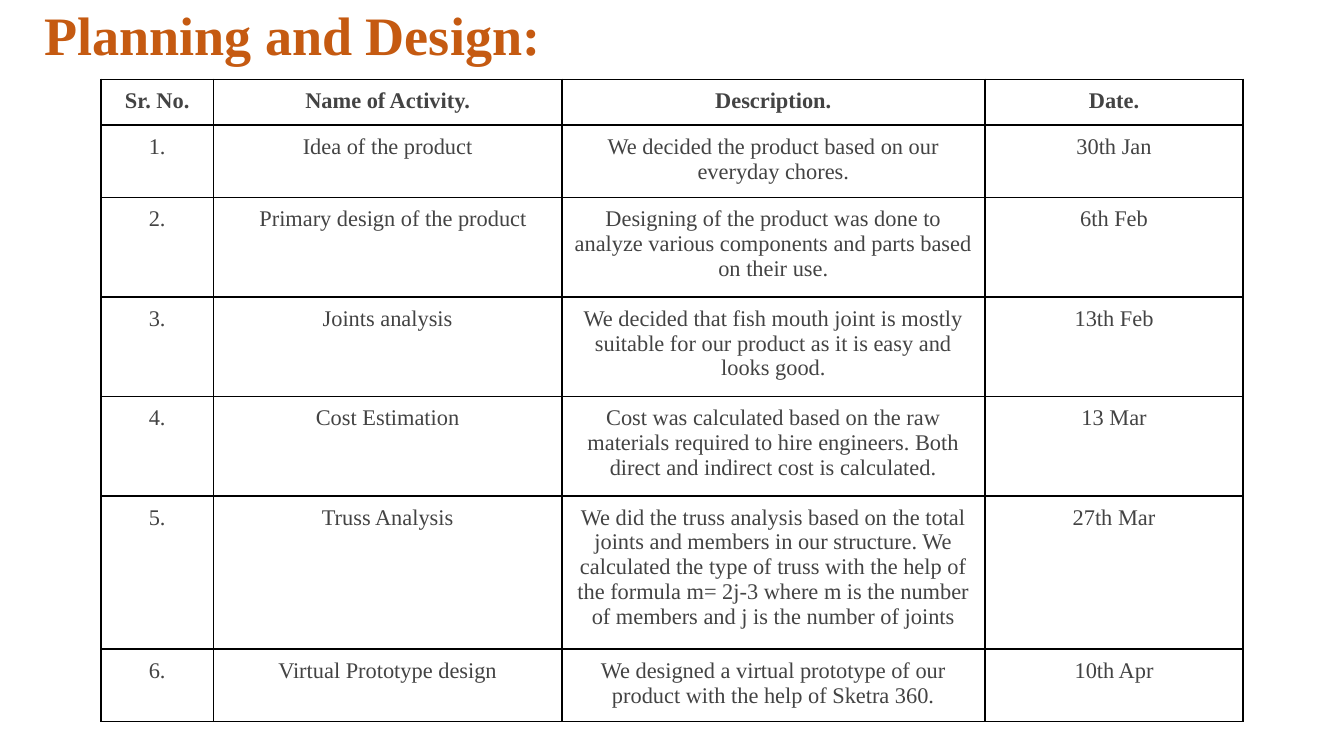
"""Build the planning and design slide with its activity table."""
from dataclasses import dataclass
from typing import NamedTuple

from lxml.etree import SubElement as Sub
from pptx import Presentation
from pptx.dml.color import RGBColor as Rgb
from pptx.enum.text import MSO_ANCHOR as Anchor, PP_ALIGN as Align
from pptx.oxml.ns import qn
from pptx.util import Inches, Pt


@dataclass(frozen=True)
class Theme:
    font: str = "Times New Roman"
    title: str = "C55A11"
    ink: str = "434343"
    rule: str = "000000"
    head_pt: int = 29
    body_pt: int = 12
    rule_pt: int = 1
    pad: float = 0.07


class Row(NamedTuple):
    high: float
    num: str
    name: str
    text: str
    date: str
    shift: float = 0
    bold: bool = False


THEME = Theme()
COLS = (0.84, 2.59, 3.15, 1.92)
ROWS = (
    Row(0.31, "Sr. No.", "Name of Activity.", "Description.", "Date.", bold=True),
    Row(0.48, "1.", "Idea of the product",
        "We decided the product based on our everyday chores.", "30th Jan"),
    Row(0.66, "2.", "Primary design of the product",
        "Designing of the product was done to analyze various components "
        "and parts based on their use.", "6th Feb", shift=0.08),
    Row(0.66, "3.", "Joints analysis",
        "We decided that fish mouth joint is mostly suitable for our product "
        "as it is easy and looks good.", "13th Feb"),
    Row(0.67, "4.", "Cost Estimation",
        "Cost was calculated based on the raw materials required to hire "
        "engineers. Both direct and indirect cost is calculated.", "13 Mar"),
    Row(1.11, "5.", "Truss Analysis",
        "We did the truss analysis based on the total joints and members in our "
        "structure. We calculated the type of truss with the help of the formula "
        "m= 2j-3 where m is the number of members and j is the number of joints",
        "27th Mar"),
    Row(0.48, "6.", "Virtual Prototype design",
        "We designed a virtual prototype of our product with the help of "
        "Sketra 360.", "10th Apr"),
)


def style(para, size: int, color: str, bold: bool) -> None:
    for run in para.runs:
        font = run.font
        font.name, font.size, font.bold = THEME.font, Pt(size), bold
        font.color.rgb = Rgb.from_string(color)


def frame(cell) -> None:
    props = cell._tc.get_or_add_tcPr()
    for side in ("lnL", "lnR", "lnT", "lnB"):
        line = Sub(props, qn(f"a:{side}"), w=str(Pt(THEME.rule_pt)))
        Sub(Sub(line, qn("a:solidFill")), qn("a:srgbClr"), val=THEME.rule)


def fill_cell(cell, text: str, bold: bool, shift: float) -> None:
    frame(cell)
    cell.fill.background()
    cell.margin_left = Inches(THEME.pad + shift)
    cell.margin_right = cell.margin_top = cell.margin_bottom = Inches(THEME.pad)
    cell.text_frame.text = text
    para = cell.text_frame.paragraphs[0]
    para.alignment = Align.CENTER
    style(para, THEME.body_pt, THEME.ink, bold)


def add_title(slide, text: str) -> None:
    box = slide.shapes.add_textbox(Inches(0.23), Inches(-0.09), Inches(8.96), Inches(0.46))
    body = box.text_frame
    body.word_wrap = True
    body.vertical_anchor = Anchor.TOP
    body.margin_left = body.margin_right = Inches(0.1)
    body.margin_top, body.margin_bottom = Inches(0.1), 0
    body.text = text
    style(body.paragraphs[0], THEME.head_pt, THEME.title, True)


def add_plan(slide) -> None:
    side = Inches(3.28)
    shape = slide.shapes.add_table(
        len(ROWS), len(COLS), Inches(0.75), Inches(0.59), side, side)
    grid = shape.table
    grid.first_row = grid.horz_banding = False
    for col, wide in zip(grid.columns, COLS):
        col.width = Inches(wide)
    for line, row in zip(grid.rows, ROWS):
        line.height = Inches(row.high)
        texts = (row.num, row.name, row.text, row.date)
        for cell, text in zip(line.cells, texts):
            fill_cell(cell, text, row.bold, row.shift if text == row.name else 0)
    shape.width = shape.height = side


def main() -> None:
    deck = Presentation()
    deck.slide_width = Inches(10)
    deck.slide_height = deck.slide_width * 9 // 16
    slide = deck.slides.add_slide(deck.slide_layouts[6])
    add_title(slide, "Planning and Design:")
    add_plan(slide)
    deck.save("out.pptx")


if __name__ == "__main__":
    main()
